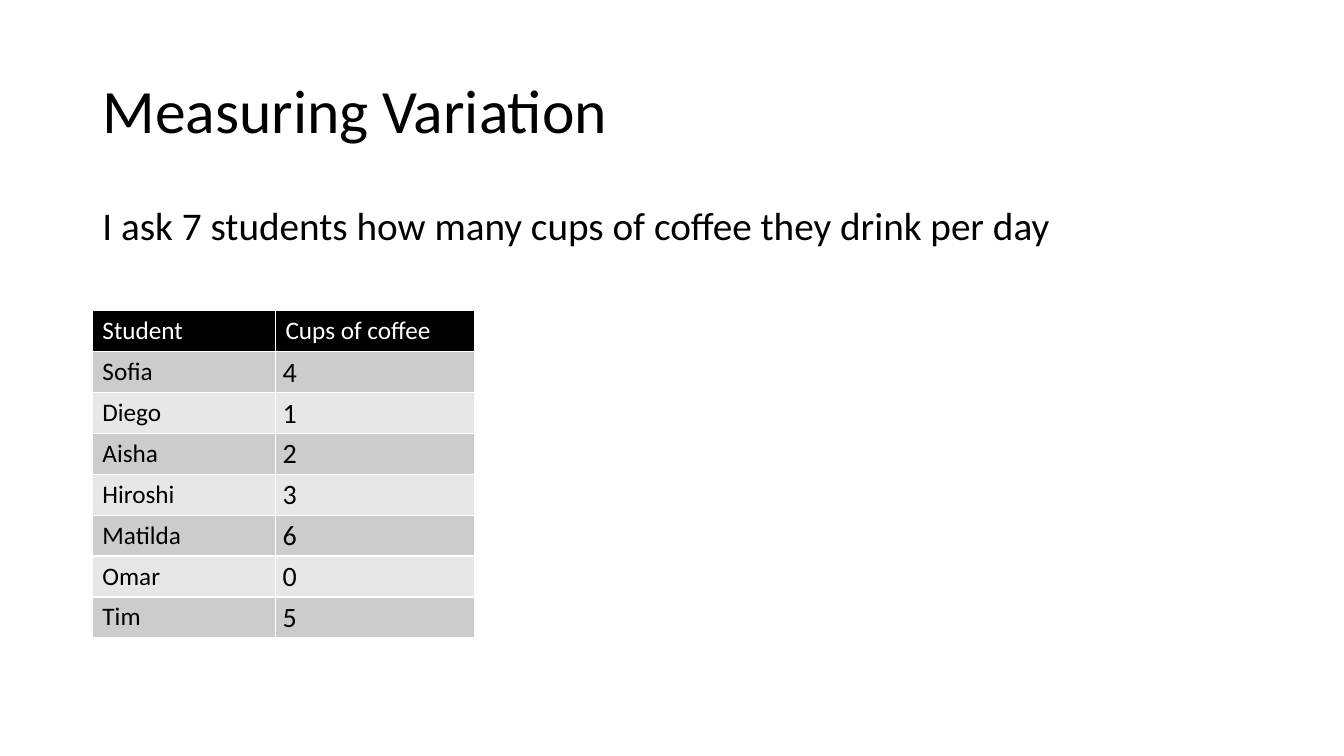
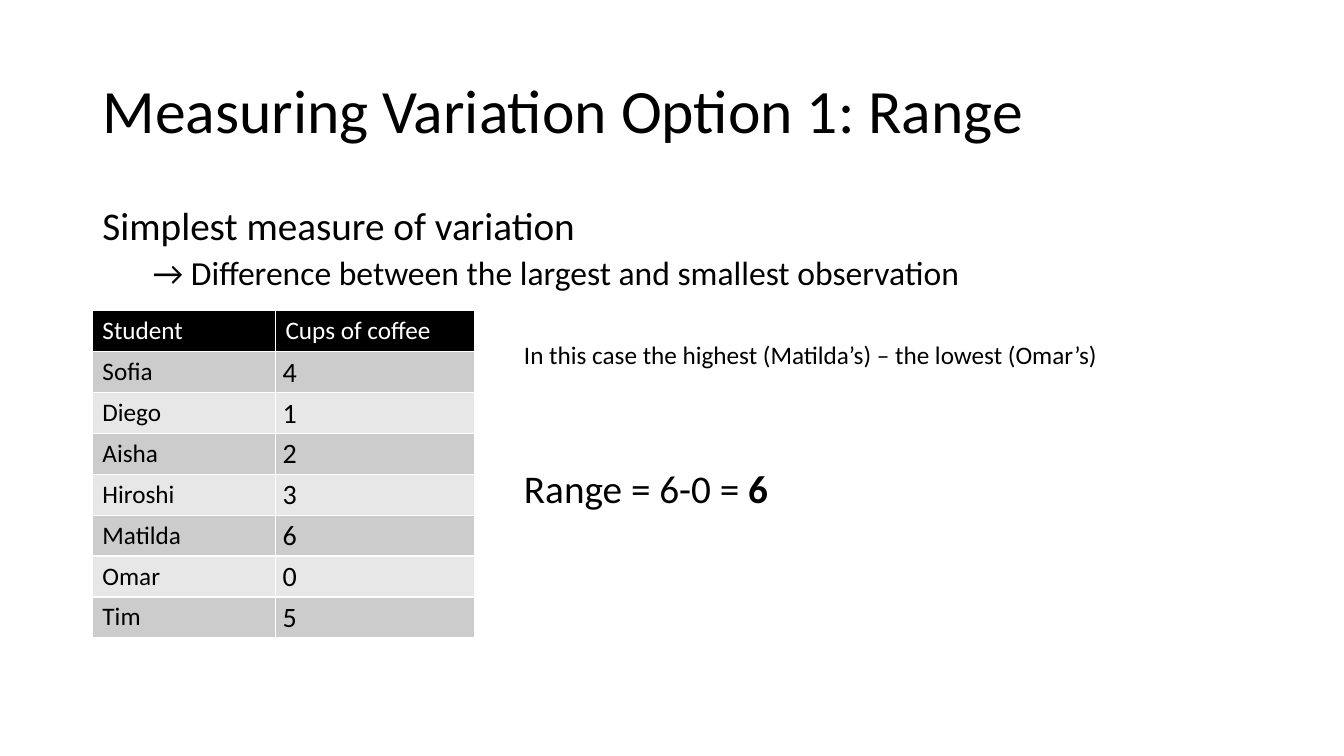
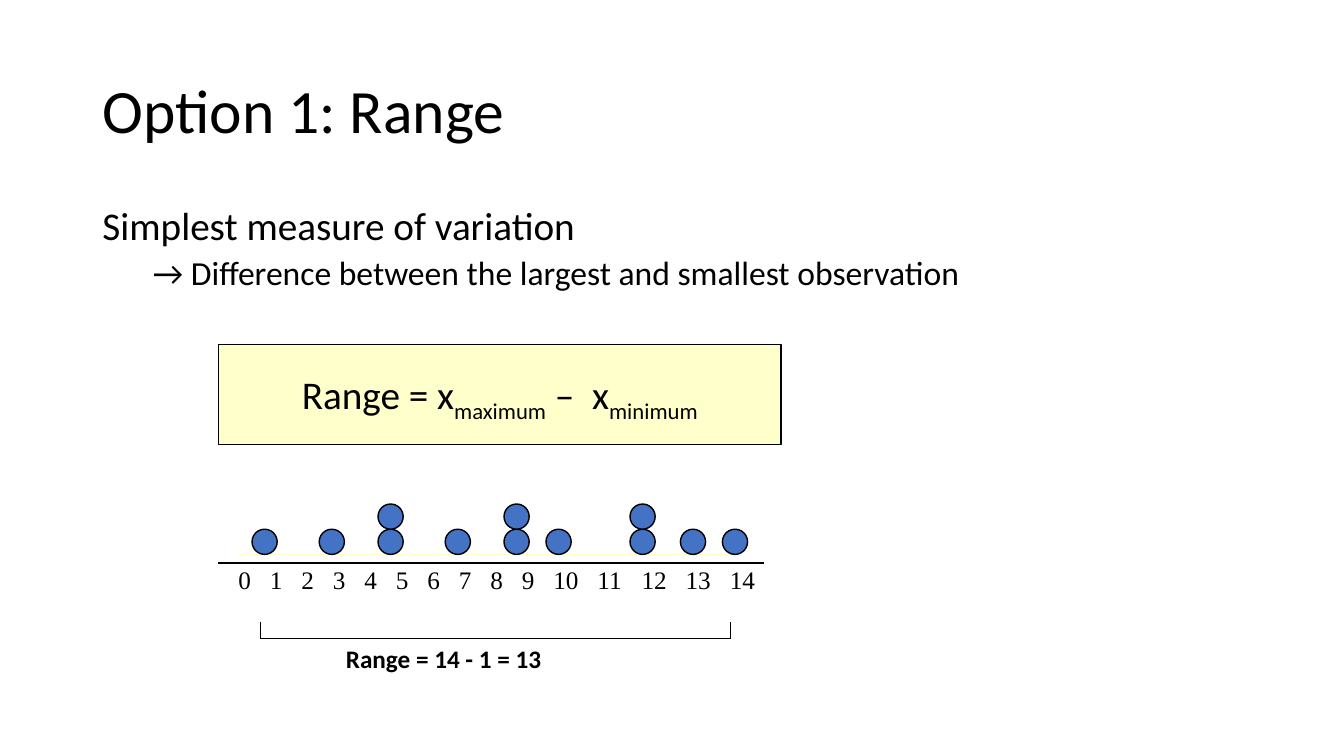
from itertools import accumulate

from lxml import etree
from pptx import Presentation
from pptx.dml.color import RGBColor
from pptx.enum.shapes import MSO_CONNECTOR, MSO_SHAPE
from pptx.enum.text import MSO_ANCHOR, MSO_AUTO_SIZE, PP_ALIGN
from pptx.oxml.ns import qn
from pptx.util import Inches, Pt

RECTANGLE, OVAL = MSO_SHAPE.RECTANGLE, MSO_SHAPE.OVAL
STRAIGHT = MSO_CONNECTOR.STRAIGHT
TOP, MIDDLE = MSO_ANCHOR.TOP, MSO_ANCHOR.MIDDLE
LEFT, CENTER = PP_ALIGN.LEFT, PP_ALIGN.CENTER
NO_FIT = MSO_AUTO_SIZE.NONE

# Shared look
FONT, SCALE_FONT = "Calibri", "Times New Roman"
BLACK, WHITE = "000000", "FFFFFF"
DARK_BAND, LIGHT_BAND = "CCCCCC", "E7E7E7"
YELLOW, BLUE = "FFFFCC", "4472C4"

# The slide is a grid of 160 columns by 90 rows, 12 to the inch
COLUMNS, ROWS, CELLS_PER_INCH = 160, 90, 12
MARGIN = 11
TITLE_BOX = (MARGIN, 4.8, 138, 17.4)
BODY_BOX = (MARGIN, 24, 138, 57.1)

# Content
CUPS = {"Sofia": 4, "Diego": 1, "Aisha": 2, "Hiroshi": 3,
        "Matilda": 6, "Omar": 0, "Tim": 5}
RANGE_POINTS = ["Simplest measure of variation",
                "→ Difference between the largest and smallest observation"]
DOT_SIZE = 3
DOT_STACKS = {30: 1, 38: 1, 45: 2, 53: 1, 60: 2, 65: 1, 75: 2, 81: 1, 86: 1}


def grid(*lengths):
    return [Inches(length / CELLS_PER_INCH) for length in lengths]


def color(hex_string):
    return RGBColor.from_string(hex_string)


def set_all(target, values):
    for name, value in values.items():
        setattr(target, name, value)


def paint(shape, fill, line, width=1):
    shape.shadow.inherit = False
    shape.fill.solid()
    shape.fill.fore_color.rgb = color(fill)
    shape.line.color.rgb = color(line)
    shape.line.width = Pt(width)


def write(paragraph, text, size, ink=BLACK, font=FONT, bold=False, baseline=0):
    run = paragraph.add_run()
    run.text = text
    set_all(run.font, {"name": font, "size": Pt(size), "bold": bold})
    run.font.color.rgb = color(ink)
    if baseline:
        run._r.get_or_add_rPr().set("baseline", str(baseline * 1000))


def prepare_frame(shape, anchor=TOP):
    frame = shape.text_frame
    set_all(frame, {"word_wrap": True, "auto_size": NO_FIT,
                    "vertical_anchor": anchor})
    return frame


def place(shape, box):
    set_all(shape, dict(zip(("left", "top", "width", "height"), grid(*box))))


def add_text_box(slide, box):
    return prepare_frame(slide.shapes.add_textbox(*grid(*box)))


def add_line(slide, start, end, ink=BLACK, width=1):
    line = slide.shapes.add_connector(STRAIGHT, *grid(*start, *end))
    line.line.color.rgb = color(ink)
    line.line.width = Pt(width)
    etree.SubElement(line._element.spPr, qn("a:effectLst"))


def fill_body(shape, points):
    """Write the first point at the top level and the others one level in."""
    frame = prepare_frame(shape)
    for index, text in enumerate(points):
        paragraph = frame.add_paragraph() if index else frame.paragraphs[0]
        level = min(index, 1)
        set_all(paragraph, {"level": level, "line_spacing": 0.9,
                            "space_before": Pt((10, 5)[level])})
        properties = paragraph._p.get_or_add_pPr()
        properties.set("marL", str(Inches(0.5 * level)))
        properties.set("indent", "0")
        etree.SubElement(properties, qn("a:buNone"))
        write(paragraph, text, (28, 24)[level])


def add_content_slide(presentation, title, points):
    slide = presentation.slides.add_slide(presentation.slide_layouts[1])
    title_shape, body_shape = slide.placeholders
    place(title_shape, TITLE_BOX)
    place(body_shape, BODY_BOX)
    paragraph = prepare_frame(title_shape, MIDDLE).paragraphs[0]
    set_all(paragraph, {"alignment": LEFT, "line_spacing": 0.9})
    write(paragraph, title, 44)
    fill_body(body_shape, points)
    return slide


def add_cups_table(slide):
    widths = (21.8, 23.7)
    rows = [("Student", "Cups of coffee"), *CUPS.items()]
    box = (MARGIN, 37, sum(widths), 38.9)
    table = slide.shapes.add_table(len(rows), len(widths), *grid(*box)).table
    for column, width in zip(table.columns, grid(*widths)):
        column.width = width
    for row_index, row in enumerate(rows):
        header = row_index == 0
        band = BLACK if header else (LIGHT_BAND, DARK_BAND)[row_index % 2]
        for column_index, value in enumerate(row):
            cell = table.cell(row_index, column_index)
            cell.fill.solid()
            cell.fill.fore_color.rgb = color(band)
            is_count = column_index == 1 and not header
            if is_count:
                set_all(cell, {"vertical_anchor": MIDDLE,
                               "margin_left": Inches(0.07),
                               "margin_right": Inches(0.01),
                               "margin_top": Inches(0.01),
                               "margin_bottom": 0})
            write(cell.text_frame.paragraphs[0], str(value),
                  20 if is_count else 18, WHITE if header else BLACK)


def add_worked_range(slide):
    frame = add_text_box(slide, (61.2, 39.8, 73.3, 21.8))
    write(frame.paragraphs[0],
          "In this case the highest (Matilda’s) – the lowest (Omar’s)", 18)
    result = frame.add_paragraph()
    result.space_before = Pt(68)
    write(result, "Range = 6-0 = ", 28)
    write(result, "6", 28, bold=True)


def add_formula(slide):
    box = slide.shapes.add_shape(RECTANGLE, *grid(26, 41, 67, 11.9))
    paint(box, YELLOW, BLACK)
    paragraph = prepare_frame(box).paragraphs[0]
    set_all(paragraph, {"alignment": CENTER, "line_spacing": 1.4})
    for text, baseline in (("Range = x", 0), ("maximum", -25),
                           (" –  x", 0), ("minimum", -25)):
        write(paragraph, text, 28, baseline=baseline)


def add_scale_numbers(slide):
    """Number the axis; each tab stop follows the digits before it."""
    labels = [str(number) for number in range(15)]
    paragraph = add_text_box(slide, (27.2, 66.6, 74.2, 4.8)).paragraphs[0]
    write(paragraph, "\t".join(labels), 18, font=SCALE_FONT)
    steps = [Pt(13.5 + 9 * len(label)) for label in labels[:-1]]
    tabs = etree.SubElement(paragraph._p.get_or_add_pPr(), qn("a:tabLst"))
    for position in accumulate(steps):
        etree.SubElement(tabs, qn("a:tab"), pos=str(position), algn="l")


def add_dot_plot(slide):
    base = 66
    for start, end in ((28.2, 72.2), (70.2, 87.2)):
        add_line(slide, (start, base), (end, base), YELLOW)
    for left, count in DOT_STACKS.items():
        for level in range(1, count + 1):
            box = (left, base - level * DOT_SIZE, DOT_SIZE, DOT_SIZE)
            paint(slide.shapes.add_shape(OVAL, *grid(*box)), BLUE, BLACK)
    add_scale_numbers(slide)
    add_line(slide, (26, 67), (91, 67), width=1.5)


def add_range_bracket(slide):
    left, right, top, bottom = 31, 87, 74, 76
    add_line(slide, (left, bottom), (right, bottom), width=0.75)
    for side in (left, right):
        add_line(slide, (side, bottom), (side, top), width=0.75)
    caption = add_text_box(slide, (40, bottom, 54, 4.8)).paragraphs[0]
    write(caption, "Range = 14 - 1 = 13", 18, bold=True)


def main():
    presentation = Presentation()
    width, height = grid(COLUMNS, ROWS)
    set_all(presentation, {"slide_width": width, "slide_height": height})

    # Data
    slide = add_content_slide(
        presentation, "Measuring Variation",
        ["I ask 7 students how many cups of coffee they drink per day"])
    add_cups_table(slide)

    # Range of the data
    slide = add_content_slide(
        presentation, "Measuring Variation Option 1: Range", RANGE_POINTS)
    add_worked_range(slide)
    add_cups_table(slide)

    # Range formula and dot plot
    slide = add_content_slide(presentation, "Option 1: Range", RANGE_POINTS)
    add_formula(slide)
    add_dot_plot(slide)
    add_range_bracket(slide)

    presentation.save("out.pptx")


if __name__ == "__main__":
    main()
